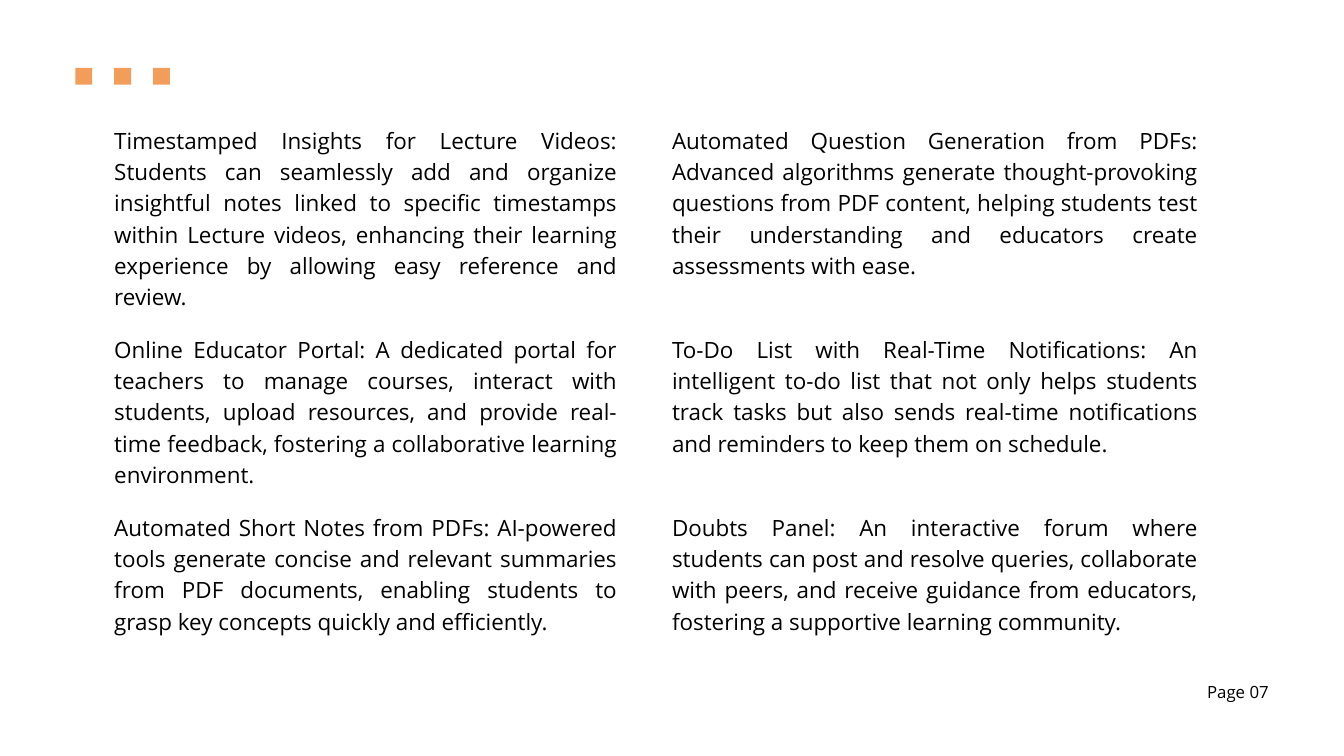
from pptx import Presentation
from pptx.dml.color import RGBColor
from pptx.enum.shapes import MSO_SHAPE
from pptx.enum.text import MSO_ANCHOR, MSO_AUTO_SIZE, PP_ALIGN
from pptx.util import Inches, Pt

COLORS = {"accent": "F39D5B", "text": "000000"}
FONT = "Open Sans"
LINE_SPACING = 1.4  # line pitch as a multiple of the font size

ROW_TOPS = (1.82, 4.93, 7.58)
# Each column: left, width, then (height, text) for every row
FEATURE_COLUMNS = [
    (1.7, 7.48, [
        (2.73, "Timestamped Insights for Lecture Videos: Students can seamlessly add and "
               "organize insightful notes linked to specific timestamps within Lecture videos, "
               "enhancing their learning experience by allowing easy reference and review."),
        (2.27, "Online Educator Portal: A dedicated portal for teachers to manage courses, "
               "interact with students, upload resources, and provide real-time feedback, "
               "fostering a collaborative learning environment."),
        (2.27, "Automated Short Notes from PDFs: AI-powered tools generate concise and "
               "relevant summaries from PDF documents, enabling students to grasp key "
               "concepts quickly and efficiently."),
    ]),
    (10, 7.82, [
        (2.27, "Automated Question Generation from PDFs: Advanced algorithms generate "
               "thought-provoking questions from PDF content, helping students test their "
               "understanding and educators create assessments with ease."),
        (1.81, "To-Do List with Real-Time Notifications: An intelligent to-do list that not "
               "only helps students track tasks but also sends real-time notifications and "
               "reminders to keep them on schedule."),
        (1.81, "Doubts Panel: An interactive forum where students can post and resolve "
               "queries, collaborate with peers, and receive guidance from educators, "
               "fostering a supportive learning community."),
    ]),
]
PAGE_LABEL = "Page 07"

SQUARE_COUNT = 3
SQUARE_LEFT, SQUARE_TOP, SQUARE_SIZE, SQUARE_PITCH = 1.12, 1.01, 0.25, 0.58


def add_text(page, text, left, top, width, height, size=24, align=PP_ALIGN.JUSTIFY):
    box = page.shapes.add_textbox(Inches(left), Inches(top), Inches(width), Inches(height))
    frame = box.text_frame
    frame.word_wrap = True
    frame.auto_size = MSO_AUTO_SIZE.SHAPE_TO_FIT_TEXT
    frame.vertical_anchor = MSO_ANCHOR.TOP
    frame.margin_left = frame.margin_right = frame.margin_top = frame.margin_bottom = 0
    para = frame.paragraphs[0]
    para.alignment = align
    para.line_spacing = Pt(size * LINE_SPACING)
    span = para.add_run()
    span.text = text
    span.font.name = FONT
    span.font.size = Pt(size)
    span.font.color.rgb = RGBColor.from_string(COLORS["text"])


def add_square(page, left):
    square = page.shapes.add_shape(MSO_SHAPE.RECTANGLE, Inches(left), Inches(SQUARE_TOP),
                                   Inches(SQUARE_SIZE), Inches(SQUARE_SIZE))
    square.shadow.inherit = False
    square.fill.solid()
    square.fill.fore_color.rgb = RGBColor.from_string(COLORS["accent"])
    square.line.fill.background()


def main():
    deck = Presentation()
    deck.slide_width, deck.slide_height = Inches(20), Inches(11.25)
    page = deck.slides.add_slide(deck.slide_layouts[6])

    for index in range(SQUARE_COUNT):
        add_square(page, SQUARE_LEFT + index * SQUARE_PITCH)

    add_text(page, PAGE_LABEL, 16.77, 10.09, 2.11, 0.33, size=18, align=PP_ALIGN.RIGHT)
    for left, width, features in FEATURE_COLUMNS:
        for top, (height, text) in zip(ROW_TOPS, features):
            add_text(page, text, left, top, width, height)

    deck.save("out.pptx")


if __name__ == "__main__":
    main()
